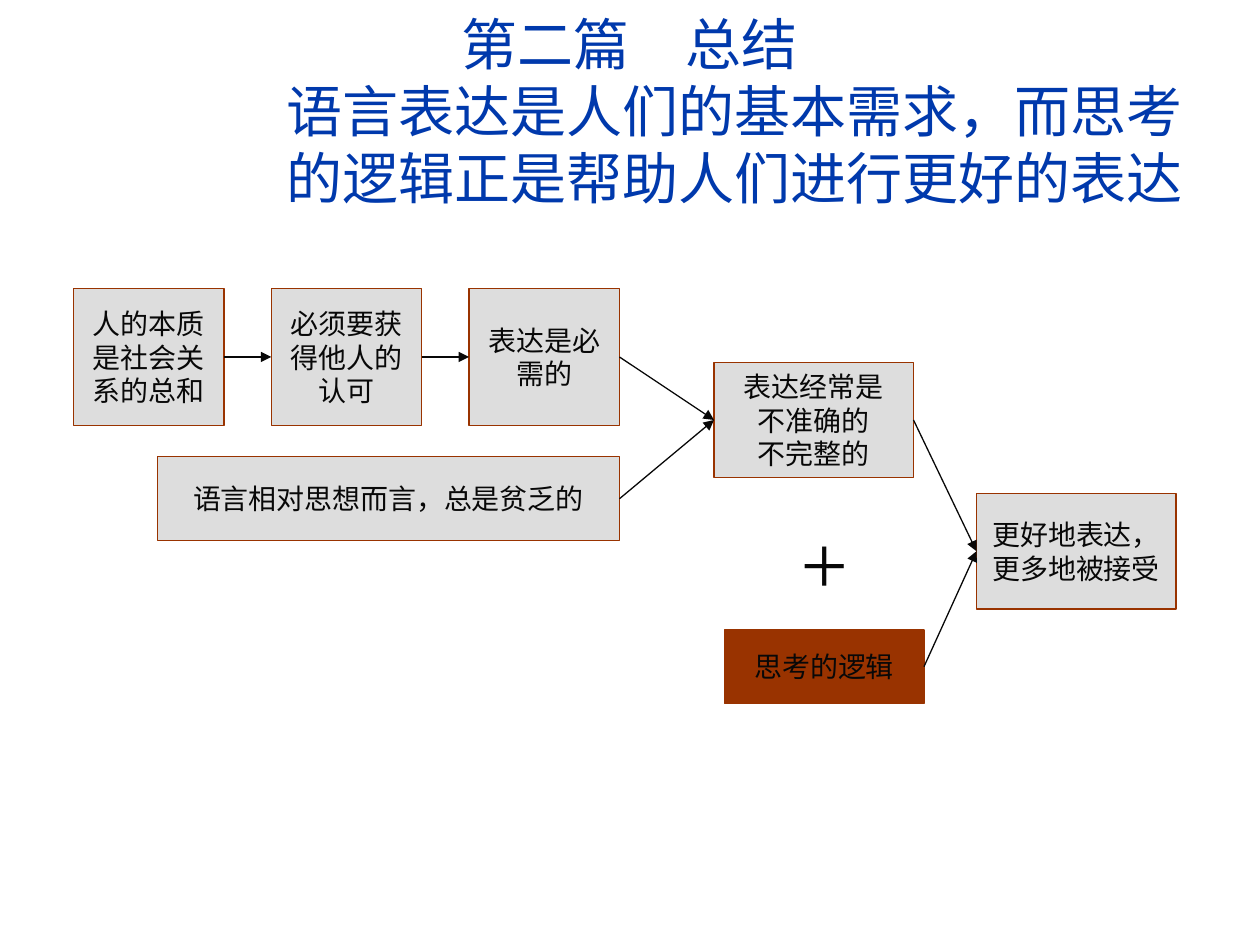
from pptx import Presentation
from pptx.dml.color import RGBColor
from pptx.enum.shapes import MSO_CONNECTOR, MSO_SHAPE
from pptx.enum.text import MSO_ANCHOR, PP_ALIGN
from pptx.oxml.ns import qn
from pptx.util import Pt
from lxml import etree

RECT = MSO_SHAPE.RECTANGLE
LINE = MSO_CONNECTOR.STRAIGHT
MID, TOP = MSO_ANCHOR.MIDDLE, MSO_ANCHOR.TOP
CENTER = PP_ALIGN.CENTER
LEFT, RIGHT = 1, 3  # connection sites

# Content
TITLE = "第二篇　总结\n语言表达是人们的基本需求，而思考的逻辑正是帮助人们进行更好的表达"
CHAIN = [
    ("nature", "人的本质是社会关系的总和"),
    ("accept", "必须要获得他人的认可"),
    ("need", "表达是必需的"),
]
# name, lines, (left, top, width, height), fill
OTHERS = [
    ("poor", ["语言相对思想而言，总是贫乏的"], (90, 261, 264, 48), "box"),
    ("flawed", ["表达经常是", "不准确的", "不完整的"], (408, 207, 114, 66), "box"),
    ("logic", ["思考的逻辑"], (414, 360, 114, 42), "accent"),
    ("better", ["更好地表达，更多地被接受"], (558, 282, 114, 66), "box"),
]
LINKS = [
    ("nature", "accept"), ("accept", "need"), ("need", "flawed"),
    ("poor", "flawed"), ("flawed", "better"), ("logic", "better"),
]

# Layout of the chain, in points
START, ROW, STEP, WIDE, HIGH = 42, 165, 113, 86, 78
INDENT = 120

THEME = {
    "title": RGBColor.from_string("0039AC"),
    "ink": RGBColor.from_string("080808"),
    "box": RGBColor.from_string("DDDDDD"),
    "accent": RGBColor.from_string("993300"),
    "head": ("Arial", 32),
    "body": ("Times New Roman", 16),
    "sign": ("Times New Roman", 48),
    "line": 0.75,
}


def write(shape, lines, style, color, anchor=MID):
    frame = shape.text_frame
    frame.word_wrap = True
    frame.vertical_anchor = anchor
    for i, text in enumerate(lines):
        para = frame.add_paragraph() if i else frame.paragraphs[0]
        para.text = text
        para.alignment = CENTER
        name, size = THEME[style]
        para.font.name, para.font.size = name, Pt(size)
        para.font.color.rgb = THEME[color]
    return frame


def add_text(slide, area, *style):
    return write(slide.shapes.add_textbox(*map(Pt, area)), *style)


def add_box(slide, lines, area, fill):
    box = slide.shapes.add_shape(RECT, *map(Pt, area))
    box.shadow.inherit = False
    box.fill.solid()
    box.fill.fore_color.rgb = THEME[fill]
    box.line.color.rgb = THEME["accent"]
    box.line.width = Pt(THEME["line"])
    write(box, lines, "body", "ink")
    return box


def add_arrow(slide, start, end):
    arrow = slide.shapes.add_connector(LINE, 0, 0, 0, 0)
    arrow.begin_connect(start, RIGHT)
    arrow.end_connect(end, LEFT)
    arrow.line.color.rgb = THEME["ink"]
    arrow.line.width = Pt(THEME["line"])
    etree.SubElement(arrow.line._get_or_add_ln(), qn("a:tailEnd"), type="triangle")
    etree.SubElement(arrow._element.spPr, qn("a:effectLst"))


def main():
    deck = Presentation()
    deck.slide_width, deck.slide_height = Pt(720), Pt(540)
    slide = deck.slides.add_slide(deck.slide_layouts[6])

    # Title with a hanging indent
    frame = add_text(slide, (24, 18, 672, 90), [TITLE], "head", "title")
    props = frame.paragraphs[0]._p.get_or_add_pPr()
    props.set("marL", str(Pt(INDENT)))
    props.set("indent", str(-Pt(INDENT)))

    # Boxes
    chain = [
        (name, [text], (START + i * STEP, ROW, WIDE, HIGH), "box")
        for i, (name, text) in enumerate(CHAIN)
    ]
    boxes = {name: add_box(slide, *rest) for name, *rest in chain + OTHERS}

    # Plus sign
    add_text(slide, (432, 288, 78, 65), ["+"], "sign", "ink", TOP)

    # Arrows
    for start, end in LINKS:
        add_arrow(slide, boxes[start], boxes[end])

    deck.save("out.pptx")


if __name__ == "__main__":
    main()
